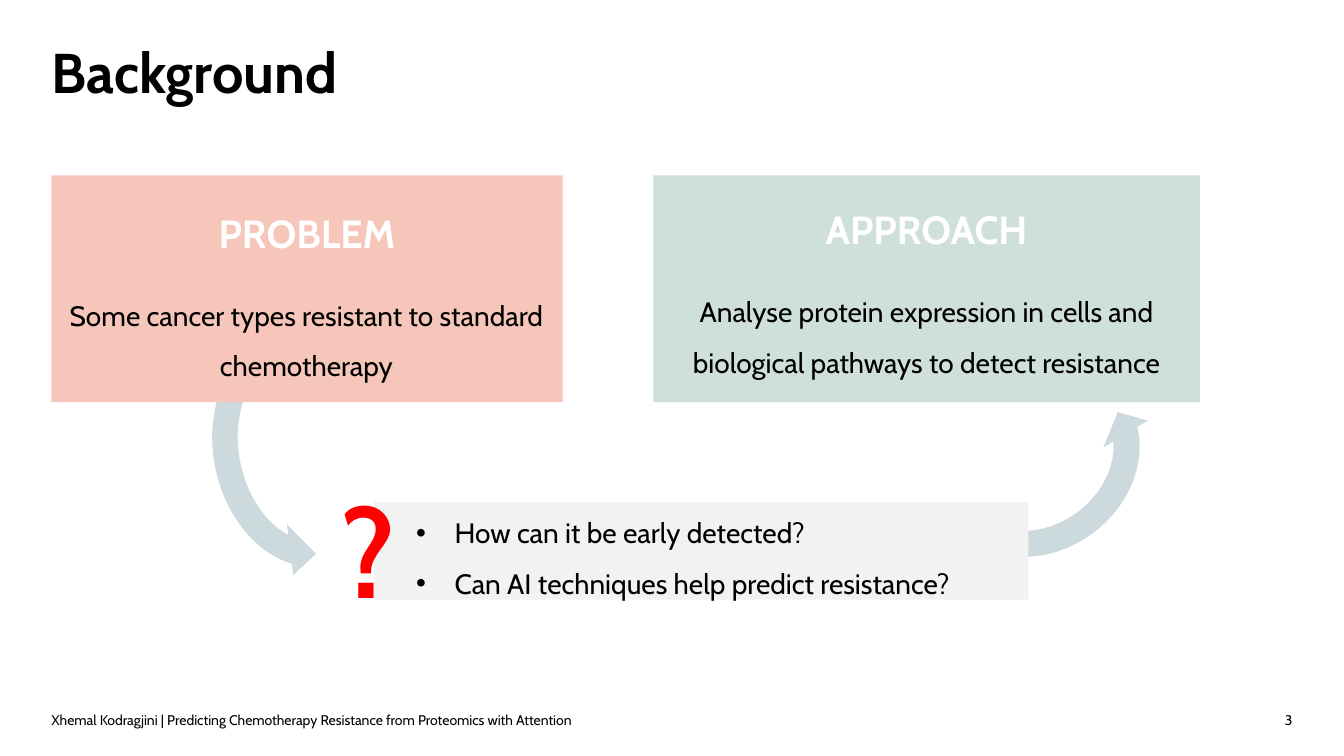
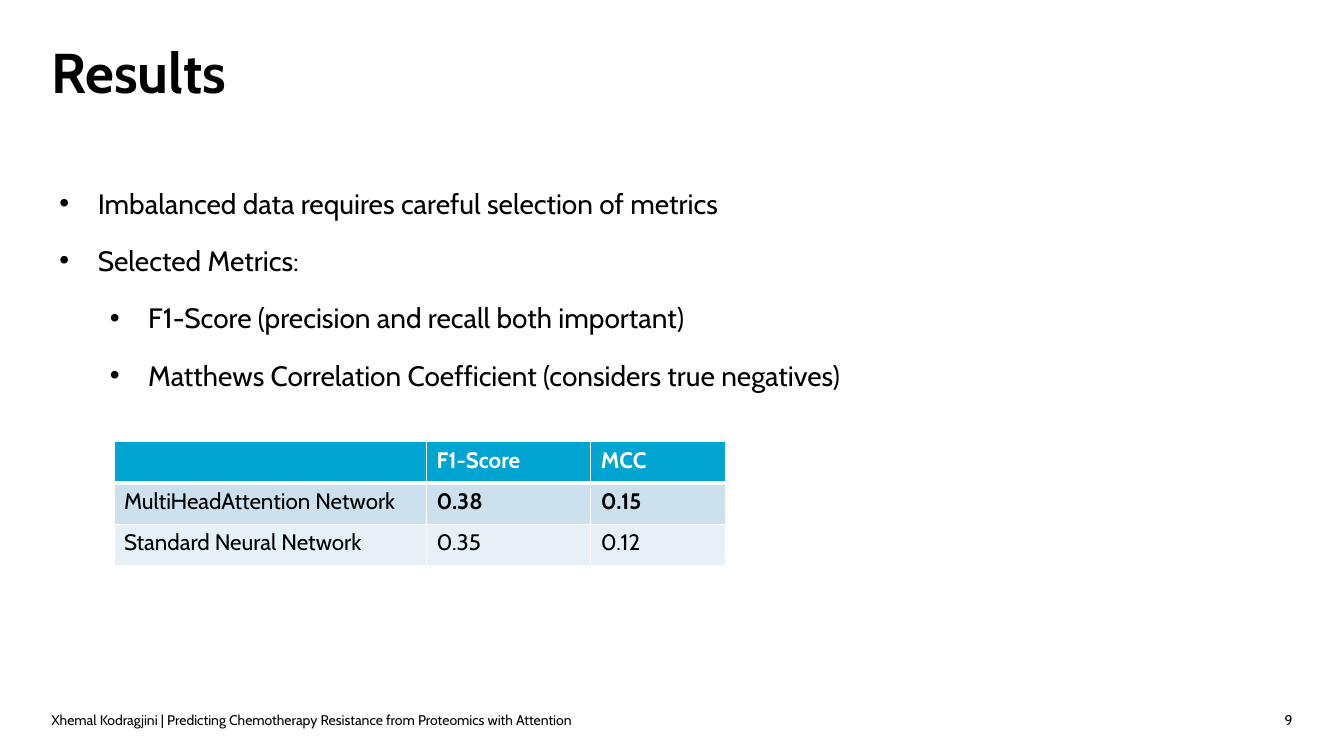
from dataclasses import dataclass

from lxml import etree
from pptx import Presentation
from pptx.dml.color import RGBColor
from pptx.enum.shapes import MSO_SHAPE
from pptx.enum.text import MSO_ANCHOR, PP_ALIGN
from pptx.oxml.ns import qn
from pptx.util import Emu, Pt

PX = 9144  # EMU per px, 100 px to the inch
RECT, ARC_ARROW = MSO_SHAPE.RECTANGLE, MSO_SHAPE.CIRCULAR_ARROW
LEFT, CENTER, RIGHT = PP_ALIGN.LEFT, PP_ALIGN.CENTER, PP_ALIGN.RIGHT
TOP, MIDDLE = MSO_ANCHOR.TOP, MSO_ANCHOR.MIDDLE


@dataclass(frozen=True)
class Theme:
    font: str = "Cabin"
    text: str = "000000"
    white: str = "FFFFFF"
    accent: str = "FF0000"
    arrow: str = "CCDADE"
    panel: str = "F2F2F2"
    problem: str = "F5C6B9"
    approach: str = "CFDFD9"
    header: str = "00A4D1"
    bands: tuple = ("CCE0EE", "E7F0F7")
    title_pt: int = 40
    card_pt: int = 28
    body_pt: int = 20
    table_pt: int = 16
    footer_pt: int = 10
    mark_pt: int = 88


T = Theme()
NO_INSET = (0, 0, 0, 0)
TEXT_INSET = (10, 5, 10, 5)
HANG = 38
LEVEL_STEP = 50

TITLE_BOX = (51, 37, 1231, 154)
FOOTER_BOX = (51, 699, 1077, 31)
NUMBER_BOX = (1128, 699, 154, 31)
FOOTER = "Xhemal Kodragjini | Predicting Chemotherapy Resistance from Proteomics with Attention"

# box, rotation, start angle adjustment
ARROWS = [
    ((911, 353, 237, 207), 144.4, 135.05),
    ((171, 345, 259, 203), 258.4, 107.76),
]
# heading, fill, box, heading offset, text, text box
CARDS = [
    ("PROBLEM", T.problem, (51, 174, 507, 225), 34,
     "Some cancer types resistant to standard chemotherapy", (62, 279, 484, 100)),
    ("APPROACH", T.approach, (648, 174, 542, 225), 30,
     "Analyse protein expression in cells and biological pathways to detect resistance",
     (667, 276, 504, 106)),
]
PANEL_BOX = (371, 498, 649, 97)
QUESTIONS_BOX = (403, 490, 617, 105)
QUESTIONS = ["How can it be early detected?", "Can AI techniques help predict resistance?"]
MARK_BOX = (329, 467, 81, 158)

METRICS_BOX = (59, 168, 1077, 469)
METRICS = [
    ("Imbalanced data requires careful selection of metrics", 0),
    ("Selected Metrics:", 0),
    ("F1-Score (precision and recall both important)", 1),
    ("Matthews Correlation Coefficient (considers true negatives)", 1),
]
TABLE_AT = (113, 438)
COLUMNS = (310, 163, 134)
ROW_HEIGHT = 41
SCORES = [
    ("", "F1-Score", "MCC"),
    ("MultiHeadAttention Network", "0.38", "0.15"),
    ("Standard Neural Network", "0.35", "0.12"),
]
BEST_ROW = 1


def emu(values):
    return [Emu(v * PX) for v in values]


def rgb(color):
    return RGBColor.from_string(color)


def add_run(p, text, size, color=T.text, bold=False):
    r = p.add_run()
    r.text = text
    r.font.name, r.font.size, r.font.bold = T.font, Pt(size), bold
    r.font.color.rgb = rgb(color)


def set_frame(tf, inset=NO_INSET, anchor=TOP):
    tf.word_wrap = True
    tf.vertical_anchor = anchor
    tf.margin_left, tf.margin_top, tf.margin_right, tf.margin_bottom = emu(inset)


def add_text(slide, box, text, size, color=T.text, bold=False, align=LEFT,
             inset=NO_INSET, anchor=TOP):
    """Add a one-paragraph text box and return its paragraph."""
    tf = slide.shapes.add_textbox(*emu(box)).text_frame
    set_frame(tf, inset, anchor)
    p = tf.paragraphs[0]
    p.alignment = align
    add_run(p, text, size, color, bold)
    return p


def add_bullets(slide, box, items, inset=NO_INSET, before=0):
    """Add a bulleted list of (text, level) items."""
    tf = slide.shapes.add_textbox(*emu(box)).text_frame
    set_frame(tf, inset)
    for i, (text, level) in enumerate(items):
        p = tf.add_paragraph() if i else tf.paragraphs[0]
        p.level = level
        p.line_spacing, p.space_before = 1.5, Pt(before)
        add_run(p, text, T.body_pt)
        pPr = p._p.get_or_add_pPr()
        pPr.set("marL", str((HANG + level * LEVEL_STEP) * PX))
        pPr.set("indent", str(-HANG * PX))
        etree.SubElement(pPr, qn("a:buFont"), typeface="Arial")
        etree.SubElement(pPr, qn("a:buChar"), char="•")


def add_block(slide, kind, box, color):
    sp = slide.shapes.add_shape(kind, *emu(box))
    sp.shadow.inherit = False
    sp.fill.solid()
    sp.fill.fore_color.rgb = rgb(color)
    sp.line.fill.background()
    return sp


def add_arrow(slide, box, rotation, start):
    sp = add_block(slide, ARC_ARROW, box, T.arrow)
    for i, value in enumerate((0.125, 8.74, 204.58, start, 0.125)):
        sp.adjustments[i] = value
    sp.rotation = rotation
    sp.element.spPr.xfrm.set("flipH", "1")


def add_card(slide, heading, color, box, offset, text, text_box):
    tf = add_block(slide, RECT, box, color).text_frame
    set_frame(tf, (0, offset, 0, 0))
    tf.paragraphs[0].alignment = CENTER
    add_run(tf.paragraphs[0], heading, T.card_pt, T.white, True)
    p = add_text(slide, text_box, text, T.body_pt, align=CENTER)
    p.line_spacing, p.space_before = 1.5, Pt(5)


def set_borders(cell, top, bottom):
    tcPr = cell._tc.get_or_add_tcPr()
    for side, width in (("L", 1), ("R", 1), ("T", top), ("B", bottom)):
        ln = etree.SubElement(tcPr, qn("a:ln" + side), w=str(Pt(width)))
        fill = etree.SubElement(ln, qn("a:solidFill"))
        etree.SubElement(fill, qn("a:srgbClr"), val=T.white)


def add_scores(slide):
    size = (sum(COLUMNS), ROW_HEIGHT * len(SCORES))
    table = slide.shapes.add_table(len(SCORES), len(COLUMNS), *emu(TABLE_AT + size)).table
    for column, width in zip(table.columns, emu(COLUMNS)):
        column.width = width
    for i, row in enumerate(SCORES):
        is_header = i == 0
        for j, text in enumerate(row):
            cell = table.cell(i, j)
            set_borders(cell, 3 if i == 1 else 1, 3 if is_header else 1)
            cell.fill.solid()
            cell.fill.fore_color.rgb = rgb(T.header if is_header else T.bands[(i - 1) % 2])
            if text:
                add_run(cell.text_frame.paragraphs[0], text, T.table_pt,
                        T.white if is_header else T.text,
                        is_header or (i == BEST_ROW and j > 0))


def new_slide(prs, title, number):
    slide = prs.slides.add_slide(prs.slide_layouts[6])
    add_text(slide, TITLE_BOX, title, T.title_pt, bold=True)
    add_text(slide, FOOTER_BOX, FOOTER, T.footer_pt, anchor=MIDDLE)
    add_text(slide, NUMBER_BOX, number, T.footer_pt, align=RIGHT, anchor=MIDDLE)
    return slide


def build_background(prs):
    slide = new_slide(prs, "Background", "3")
    for arrow in ARROWS:
        add_arrow(slide, *arrow)
    for card in CARDS:
        add_card(slide, *card)
    add_block(slide, RECT, PANEL_BOX, T.panel)
    add_bullets(slide, QUESTIONS_BOX, [(q, 0) for q in QUESTIONS], TEXT_INSET)
    add_text(slide, MARK_BOX, "?", T.mark_pt, T.accent, True, inset=TEXT_INSET)


def build_results(prs):
    slide = new_slide(prs, "Results", "9")
    add_bullets(slide, METRICS_BOX, METRICS, before=5)
    add_scores(slide)


def main():
    prs = Presentation()
    prs.slide_width, prs.slide_height = emu((1333, 750))
    build_background(prs)
    build_results(prs)
    prs.save("out.pptx")


if __name__ == "__main__":
    main()
